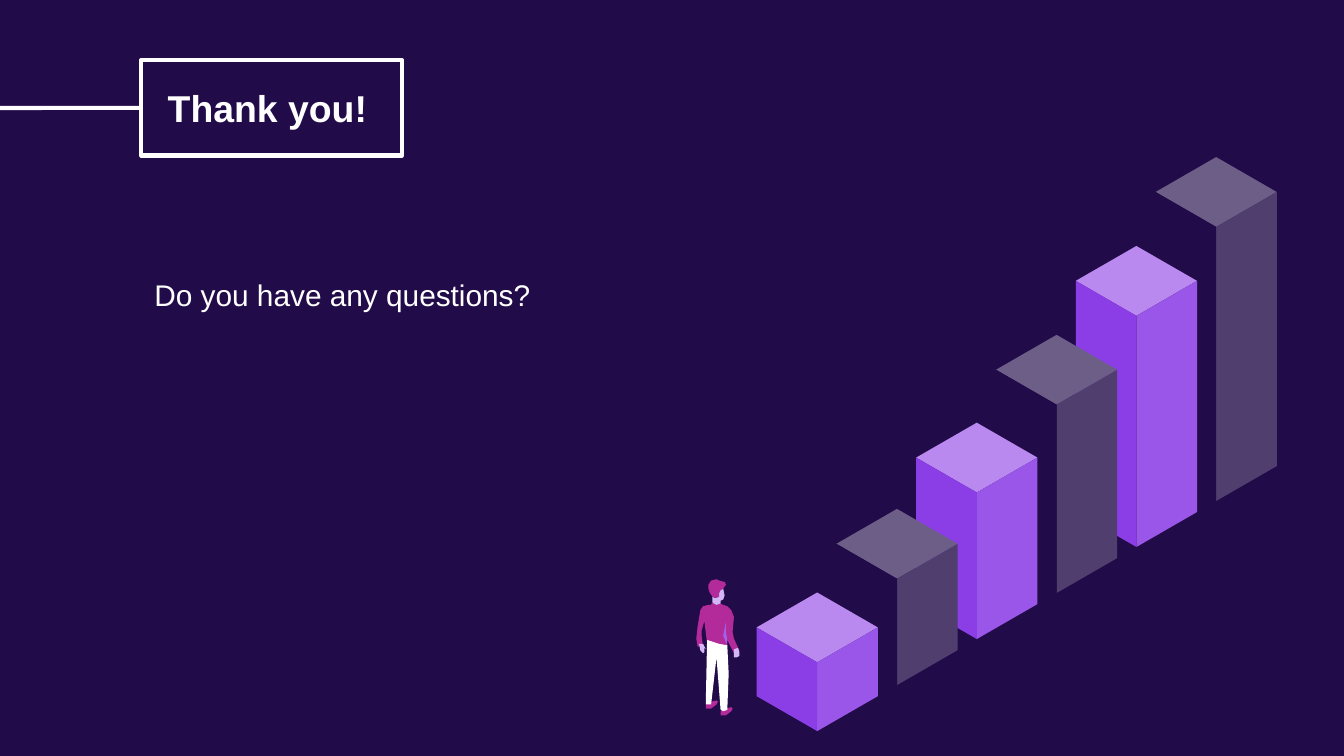
import pptx
import pptx.util
import pptx.dml.color
import pptx.enum.shapes
import pptx.enum.text
import lxml.etree

Cm = pptx.util.Cm
PINK, SKIN, WHITE, NIGHT = "B32A9A", "D4B6F6", "FFFFFF", "220B49"
BRIGHT = ("B989F0", "9A55E9", "8C3EE6")
MUTED = ("6D5E87", "503E6F", NIGHT)
HEIGHTS = (2.62, 3.33, 4.09, 4.88, 5.69, 6.5)
SHOE = [(15, 90), (11, 91), (7, 93), (7, 96), (11, 96), (15, 93), (16, 91)]
PARTS = [
    (PINK, [(12, 17), (11, 19), (9, 19), (5, 20), (3, 23), (1, 35), (0, 44), (1, 50),
            (5, 50), (4, 42), (4, 38), (6, 31), (8, 47), (11, 50), (17, 52), (23, 51),
            (23, 45), (28, 55), (32, 53), (28, 44), (27, 39), (28, 28), (26, 23),
            (23, 20), (20, 19), (18, 18)]),
    (SKIN, [(20, 7), (18, 8), (17, 10), (17, 13), (14, 14), (12, 13), (12, 17), (13, 18),
            (15, 19), (18, 18), (18, 16), (20, 15), (21, 12)]),
    (PINK, [(15, 0), (11, 1), (9, 4), (9, 7), (10, 10), (12, 13), (14, 14), (17, 13),
            (17, 10), (18, 8), (20, 7), (22, 4), (21, 2), (17, 1)]),
    ("A161EB", [(22, 32), (20, 42), (23, 49), (23, 45), (22, 39)]),
    (SKIN, [(3, 48), (2, 48), (3, 53), (5, 55), (6, 54), (6, 51), (7, 52), (5, 48)]),
    (PINK, SHOE),
    (PINK, [(x + 11, y + 5) for x, y in SHOE]),
    (WHITE, [(8, 45), (7, 93), (9, 93), (11, 93), (15, 58), (18, 97), (20, 98), (23, 97),
             (24, 70), (23, 49), (17, 48)]),
    (SKIN, [(31, 51), (28, 52), (28, 58), (30, 58), (32, 57), (32, 54)]),
]


def tint(form, code):
    """Give a fill, font or line colour from a hex string."""
    if hasattr(form, "solid"):
        form.solid()
        form = form.fore_color
    else:
        form = form.color
    form.rgb = pptx.dml.color.RGBColor.from_string(code)


def place(shape, box):
    """Move and size a shape to a box in centimetres."""
    shape.left, shape.top, shape.width, shape.height = map(Cm, box)


def write(shape, text, size=16, bold=False, code=WHITE, inset=0.25,
          anchor=pptx.enum.text.MSO_ANCHOR.TOP):
    """Write formatted text into a shape."""
    frame = shape.text_frame
    frame.text = text
    frame.word_wrap = True
    frame.auto_size = pptx.enum.text.MSO_AUTO_SIZE.NONE
    frame.vertical_anchor = anchor
    frame.margin_left = frame.margin_right = Cm(0.25)
    frame.margin_top = frame.margin_bottom = Cm(inset)
    line = frame.paragraphs[0]
    line.alignment = pptx.enum.text.PP_ALIGN.LEFT
    font = line.runs[0].font
    font.name, font.size, font.bold = "Arial", pptx.util.Pt(size), bold
    tint(font, code)


def draw(shapes, spots, code):
    """Draw a filled outline through spots given in centimetres."""
    spots = [(Cm(x), Cm(y)) for x, y in spots]
    pen = shapes.build_freeform(*spots[0])
    pen.add_line_segments(spots[1:], close=True)
    shape = pen.convert_to_shape()
    shape.shadow.inherit = False
    shape.line.fill.background()
    tint(shape.fill, code)


def add_bar(shapes, box, codes):
    """Draw one block with a top, a right and a left face."""
    left, top, width, height = box
    mid, right, rise = left + width / 2, left + width, 0.66
    low, base = top + 2 * rise, top + height
    draw(shapes, [(mid, top), (left, top + rise), (mid, low), (right, top + rise)], codes[0])
    for side, code in zip((right, left), codes[1:]):
        draw(shapes, [(side, top + rise), (mid, low), (mid, base), (side, base - rise)], code)


def add_steps(slide, box):
    """Draw the rising row of blocks from back to front."""
    left, top, width, height = box
    shapes = slide.shapes.add_group_shape().shapes
    wide = 2.29
    step = (width - wide) / (len(HEIGHTS) - 1)
    for i, tall in reversed(list(enumerate(HEIGHTS))):
        base = top + height - 0.87 * i
        add_bar(shapes, (left + step * i, base - tall, wide, tall), MUTED if i % 2 else BRIGHT)


def add_man(slide, box):
    """Draw the standing man on a grid 101 units high."""
    left, top, width, height = box
    unit = height / 101
    shapes = slide.shapes.add_group_shape().shapes
    for code, spots in PARTS:
        draw(shapes, [(left + x * unit, top + y * unit) for x, y in spots], code)


def add_head(slide, box):
    """Place the framed title and the line that leads to it."""
    left, top, width, height = box
    frame = slide.shapes.add_shape(pptx.enum.shapes.MSO_SHAPE.RECTANGLE, *map(Cm, box))
    frame.shadow.inherit = False
    frame.fill.background()
    mid = Cm(top + height / 2)
    lead = slide.shapes.add_connector(
        pptx.enum.shapes.MSO_CONNECTOR.STRAIGHT, 0, mid, Cm(left), mid)
    lead.end_connect(frame, 1)
    props = lead.element.spPr
    for item in (frame, lead):
        tint(item.line, WHITE)
        item.line.width = pptx.util.Pt(2.25)
    lxml.etree.SubElement(props, pptx.oxml.ns.qn("a:effectLst"))
    title = slide.shapes.title
    place(title, (left + 0.25, top + 0.33, 5.66, 1.12))
    write(title, "Thank you!", size=20, bold=True, inset=0.13,
          anchor=pptx.enum.text.MSO_ANCHOR.MIDDLE)


def add_body(slide, box):
    """Place the closing question."""
    write(slide.shapes.add_textbox(*map(Cm, box)), "Do you have any questions?")


def main():
    """Build and save the closing slide."""
    deck = pptx.Presentation()
    deck.slide_width, deck.slide_height = Cm(25.4), Cm(14.29)
    slide = deck.slides.add_slide(deck.slide_layouts[5])
    tint(slide.background.fill, NIGHT)
    add_steps(slide, (14.3, 2.95, 9.83, 10.87))
    add_man(slide, (13.16, 10.95, 0.81, 2.57))
    add_head(slide, (2.67, 1.14, 4.93, 1.8))
    add_body(slide, (2.67, 4.98, 8.18, 2.84))
    deck.save("out.pptx")


if __name__ == "__main__":
    main()
